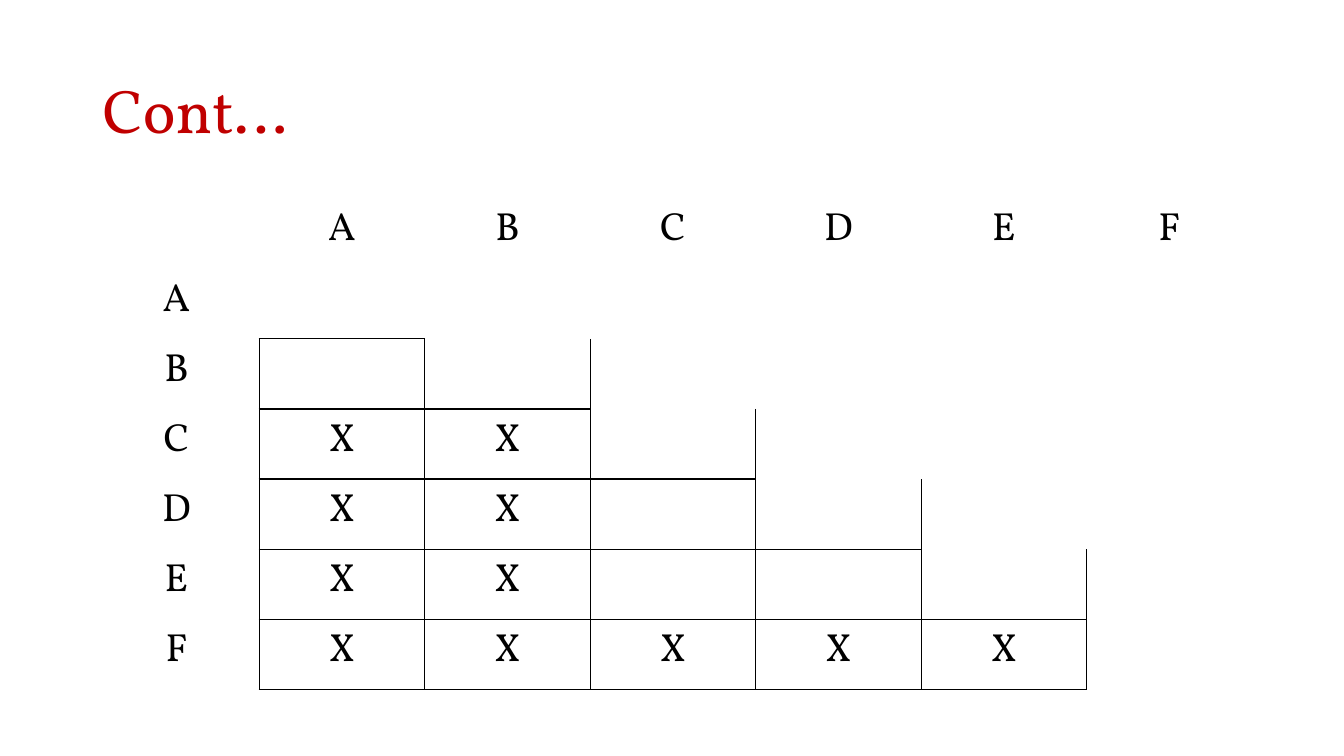
from dataclasses import dataclass

from lxml.etree import SubElement
from pptx import Presentation
from pptx.dml.color import RGBColor
from pptx.enum.text import MSO_ANCHOR as Anchor, PP_ALIGN as Align
from pptx.oxml.ns import qn
from pptx.util import Inches, Pt

NO_GRID_STYLE = "{2D5ABB26-0587-4C30-8999-92F81FD0307C}"
LETTERS = "ABCDEF"
MARKS = {"C": "AB", "D": "AB", "E": "AB", "F": "ABCDE"}


@dataclass(frozen=True)
class Theme:
    """Font, colours and sizes of the slide."""
    font: str = "Vollkorn"
    title: str = "C00000"
    ink: str = "000000"
    title_size: int = 44
    cell_size: int = 28
    border: int = 1


@dataclass(frozen=True)
class Side:
    """A cell edge and the step to the neighbour that shares it."""
    tag: str
    down: int
    right: int


THEME = Theme()
SIDES = [Side("a:lnL", 0, -1), Side("a:lnR", 0, 1),
         Side("a:lnT", -1, 0), Side("a:lnB", 1, 0)]


def add_run(p, text: str, size: int, color: str) -> None:
    """Add one styled run to a paragraph."""
    r = p.add_run()
    r.text = text
    r.font.name = THEME.font
    r.font.size = Pt(size)
    r.font.color.rgb = RGBColor.from_string(color)


def add_title(s, text: str) -> None:
    """Add the slide title."""
    sp = s.shapes.add_textbox(Inches(0.92), Inches(0.4), Inches(11.5), Inches(1.45))
    tf = sp.text_frame
    tf.word_wrap = True
    tf.vertical_anchor = Anchor.MIDDLE
    p = tf.paragraphs[0]
    p.line_spacing = 0.9
    add_run(p, text, THEME.title_size, THEME.title)


def is_boxed(row: int, col: int) -> bool:
    """Tell whether a cell lies in the triangle of pairs."""
    return 1 <= col < row <= len(LETTERS)


def cell_text(row: int, col: int) -> str:
    """Return the heading or mark of a cell."""
    if row == 0 or col == 0:
        return LETTERS[row + col - 1] if row + col else ""
    return "X" if LETTERS[col - 1] in MARKS.get(LETTERS[row - 1], "") else ""


def add_border(cell, tag: str) -> None:
    """Draw one edge of a cell."""
    tc_pr = cell._tc.get_or_add_tcPr()
    ln = SubElement(tc_pr, qn(tag), w=str(Pt(THEME.border)))
    fill = SubElement(ln, qn("a:solidFill"))
    SubElement(fill, qn("a:srgbClr"), val=THEME.ink)


def fill_cell(cell, row: int, col: int) -> None:
    """Give a cell its borders, clear fill and text."""
    for side in SIDES:
        if is_boxed(row, col) or is_boxed(row + side.down, col + side.right):
            add_border(cell, side.tag)
    cell.fill.background()
    p = cell.text_frame.paragraphs[0]
    p.alignment = Align.CENTER
    text = cell_text(row, col)
    if text:
        add_run(p, text, THEME.cell_size, THEME.ink)


def add_pair_table(s) -> None:
    """Add the triangular table of letter pairs."""
    n = len(LETTERS) + 1
    frame = s.shapes.add_table(n, n, Inches(0.93), Inches(1.97), Inches(11.49), Inches(4.87))
    for style in frame._element.iter(qn("a:tableStyleId")):
        style.text = NO_GRID_STYLE
    table = frame.table
    table.first_row = table.horz_banding = False
    for row in range(n):
        for col in range(n):
            fill_cell(table.cell(row, col), row, col)


def main() -> None:
    """Build and save the slide."""
    prs = Presentation()
    prs.slide_width, prs.slide_height = Inches(13.33), Inches(7.5)
    s = prs.slides.add_slide(prs.slide_layouts[6])
    add_title(s, "Cont…")
    add_pair_table(s)
    prs.save("out.pptx")


if __name__ == "__main__":
    main()
